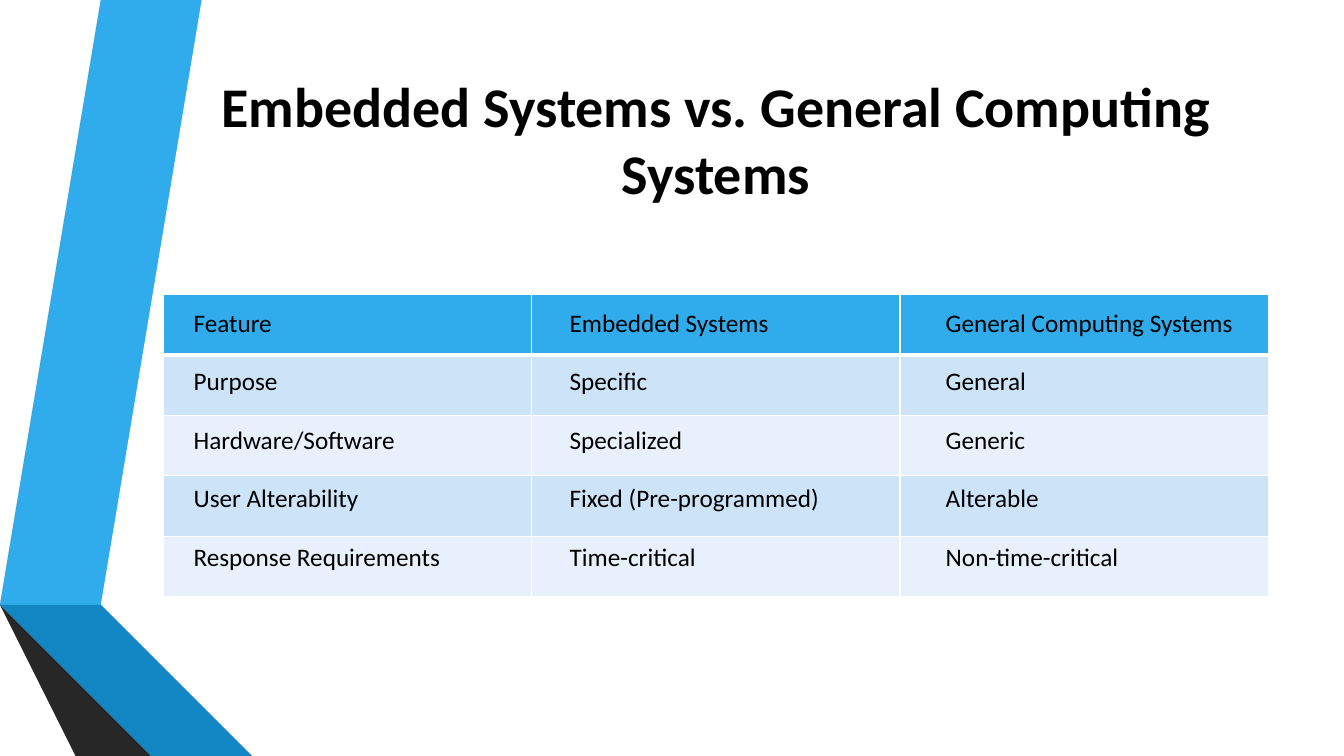
from lxml import etree
from pptx import Presentation
from pptx import util as u
from pptx.dml.color import RGBColor
from pptx.enum import text
from pptx.oxml import ns

COLORS = {
    "blue": "30ACEC", "blue_fold": "1287C3", "blue_edge": "0C5A82",
    "gray": "595959", "gray_fold": "404040", "gray_edge": "262626",
    "band_dark": "CDE3F8", "band_light": "E8F1FB",
    "white": "FFFFFF", "black": "000000",
}
FONT = "Calibri"
NO_STYLE = "{2D5ABB26-0587-4C30-8999-92F81FD0307C}"


def add_plain_table(slide, rows, left, top, width, height):
    table = slide.shapes.add_table(
        rows, 3, u.Inches(left), u.Inches(top), u.Inches(width), u.Inches(height)
    ).table
    table._tbl.tblPr.find(ns.qn("a:tableStyleId")).text = NO_STYLE
    return table


def add_styled_run(paragraph, wording, size, bold=False):
    run = paragraph.add_run()
    run.text = wording
    run.font.name = FONT
    run.font.size = u.Pt(size)
    run.font.bold = bold
    run.font.color.rgb = RGBColor.from_string(COLORS["black"])


presentation = Presentation()
presentation.slide_width = u.Inches(13.33)
presentation.slide_height = u.Inches(7.5)
slide = presentation.slides.add_slide(presentation.slide_layouts[5])

# Folded ribbons on the left
ribbons = [
    ("blue", [(0.5, 5.78), (0.77, 5.83), (1.73, 0), (1.45, 0)]),
    ("gray", [(1.39, 0), (1.11, 0), (0.16, 5.73), (0.44, 5.77)]),
    ("gray_edge", [(0.16, 5.73), (1.45, 7.5), (1.51, 7.5)]),
    ("blue_edge", [(0.5, 5.79), (2.08, 7.5), (2.14, 7.5)]),
    ("blue_fold", [(0.5, 5.78), (2.14, 7.5), (2.83, 7.5), (0.77, 5.83)]),
    ("gray_fold", [(2.02, 7.5), (0.48, 5.83), (0.44, 5.77), (0.16, 5.73), (1.51, 7.5)]),
]
for color, points in ribbons:
    builder = slide.shapes.build_freeform(*points[0], scale=u.Inches(1))
    builder.add_line_segments(points[1:], close=True)
    shape = builder.convert_to_shape()
    shape.shadow.inherit = False
    shape.fill.solid()
    shape.fill.fore_color.rgb = RGBColor.from_string(COLORS[color])
    shape.line.fill.background()

# Title, raised within its box by the bottom margin
title = slide.shapes.title
title.left, title.top = u.Inches(1.62), u.Inches(0.75)
title.width, title.height = u.Inches(10.96), u.Inches(1.92)
frame = title.text_frame
frame.auto_size = text.MSO_AUTO_SIZE.NONE
frame.word_wrap = True
frame.vertical_anchor = text.MSO_ANCHOR.MIDDLE
frame.margin_bottom = u.Inches(0.72)
paragraph = frame.paragraphs[0]
paragraph.alignment = text.PP_ALIGN.CENTER
add_styled_run(paragraph, "Embedded Systems vs. General Computing Systems", 40, True)

# Coloured grid behind the wording
bands = ["blue", "band_dark", "band_light", "band_dark", "band_light"]
grid = add_plain_table(slide, len(bands), 1.62, 2.92, 10.96, 3)
for row, band in enumerate(bands):
    for cell in grid.rows[row].cells:
        properties = cell._tc.get_or_add_tcPr()
        for side in "LRTB":
            header_rule = (row, side) in [(0, "B"), (1, "T")]
            line = etree.SubElement(
                properties, ns.qn(f"a:ln{side}"), w=str(u.Pt(3 if header_rule else 1))
            )
            fill = etree.SubElement(line, ns.qn("a:solidFill"))
            etree.SubElement(fill, ns.qn("a:srgbClr"), val=COLORS["white"])
        cell.fill.solid()
        cell.fill.fore_color.rgb = RGBColor.from_string(COLORS[band])

# Comparison wording
comparison = [
    ("Feature", "Embedded Systems", "General Computing Systems"),
    ("Purpose", "Specific", "General"),
    ("Hardware/Software", "Specialized", "Generic"),
    ("User Alterability", "Fixed (Pre-programmed)", "Alterable"),
    ("Response Requirements", "Time-critical", "Non-time-critical"),
]
wording_table = add_plain_table(slide, len(comparison), 1.82, 2.92, 11.19, 2.9)
for row, entries in enumerate(comparison):
    for column, entry in enumerate(entries):
        cell = wording_table.cell(row, column)
        cell.fill.background()
        cell.vertical_anchor = text.MSO_ANCHOR.MIDDLE
        add_styled_run(cell.text_frame.paragraphs[0], entry, 18)

presentation.save("out.pptx")
